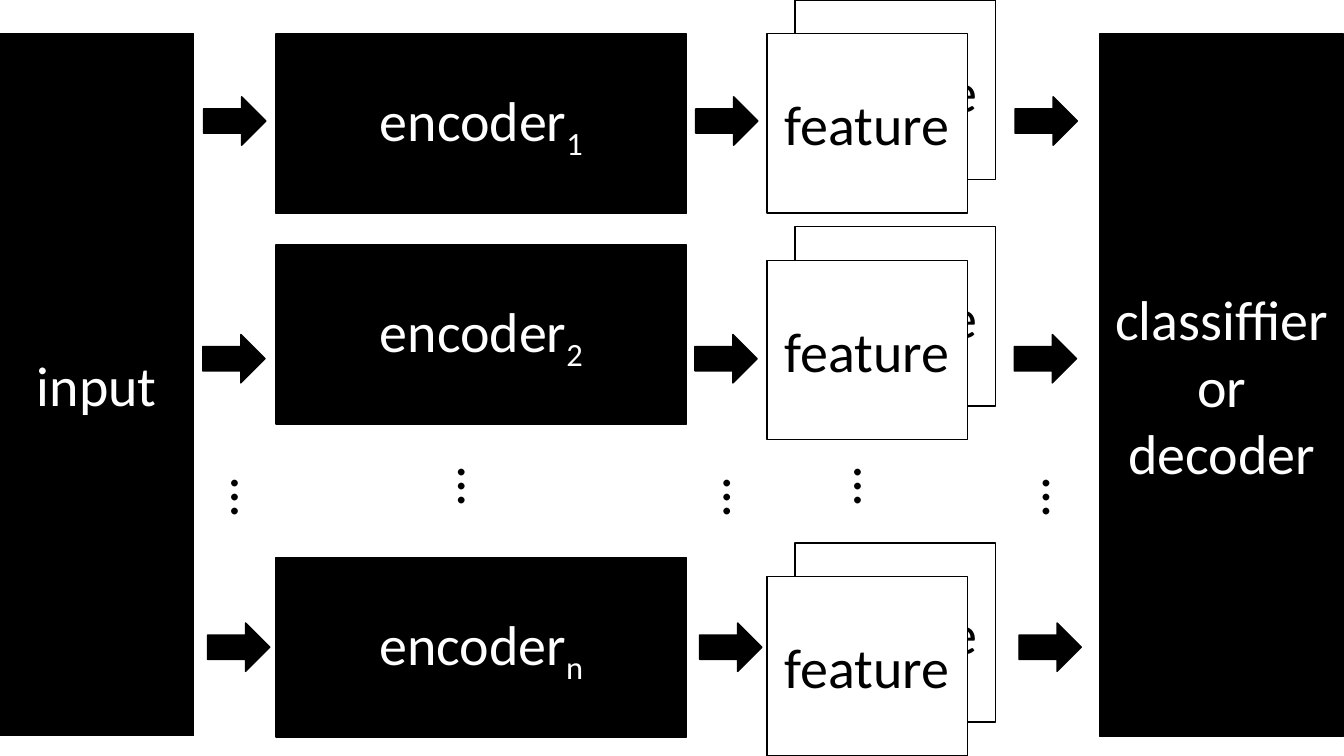
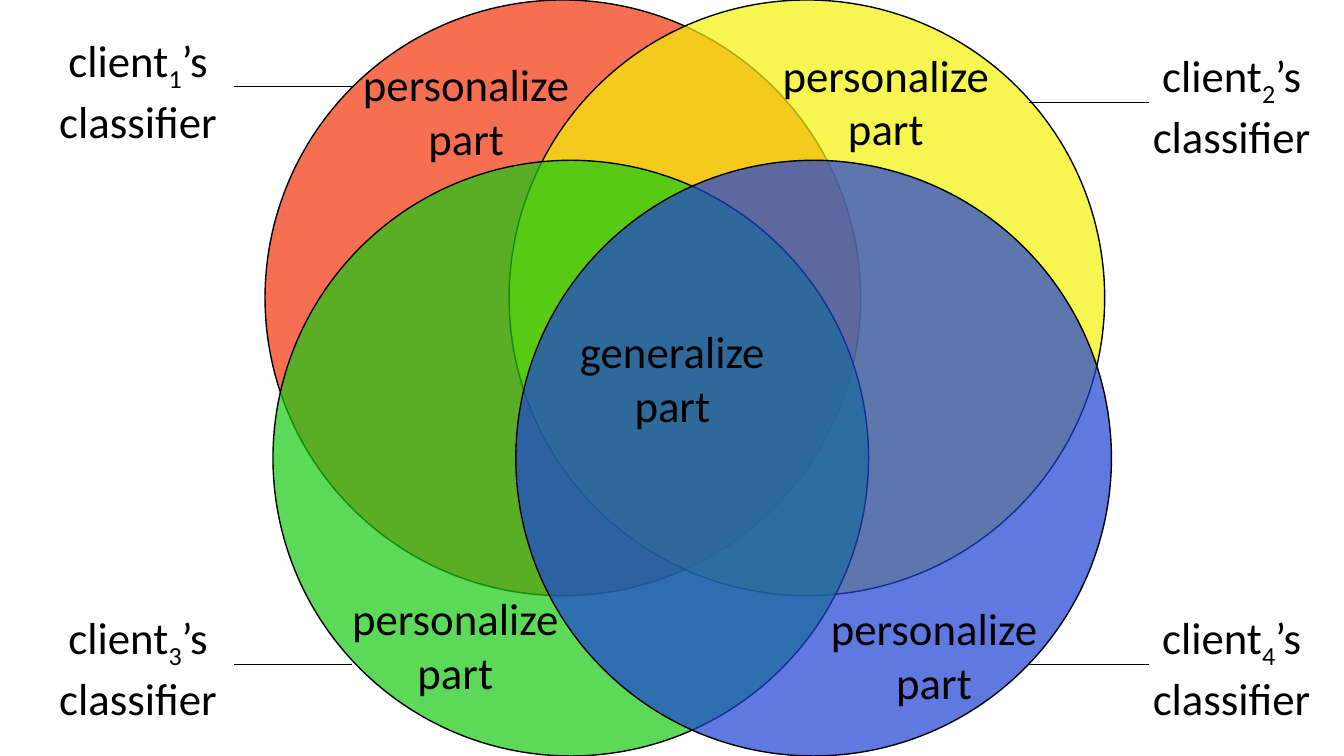
from lxml.etree import SubElement
from pptx import Presentation
from pptx.dml.color import RGBColor
from pptx.enum.shapes import MSO_CONNECTOR, MSO_SHAPE
from pptx.enum.text import MSO_ANCHOR, PP_ALIGN
from pptx.oxml.ns import qn
from pptx.util import Cm, Pt

COLORS = {
    "black": "000000", "white": "FFFFFF", "red": "F43308",
    "yellow": "F4F207", "green": "17C913", "blue": "1D41D5",
}
FONT = "Calibri"

# Pipeline slide, lengths in cm
INPUT = ("input", 0, 0.84, 4.88, 17.7)
CLASSIFIER = ("classiffier\nor\ndecoder", 27.71, 0.86, 6.15, 17.7)
# subscript, encoder top, feature top, arrow top, arrow shift
ROWS = [
    ("1", 0.86, 0, 2.44, 0),
    ("2", 6.17, 5.71, 8.43, -0.02),
    ("n", 14.05, 13.68, 15.7, 0.1),
]
ENCODER_LEFT, ENCODER_WIDTH, BLOCK_HEIGHT = 6.96, 10.34, 4.52
FEATURE_WIDTH = 5.05
FEATURE_STACK = [(20.04, 0), (19.33, 0.85)]  # left, drop from the row's top
ARROW_LEFTS, ARROW_SIZE = [5.13, 17.53, 25.58], (1.57, 1.22)
DOTS_SIZE = (2.29, 1.8)
BLOCK_DOTS_LEFTS, BLOCK_DOTS_TOP = [10.97, 20.96], 11.48
ARROW_DOTS_SHIFT, ARROW_DOTS_TOP = 0.13, 11.76

# Venn slide
DIAMETER = 15.01
LABEL_HEIGHT = 3
CIRCLES = [("red", 6.68, 0), ("yellow", 12.83, 0),
           ("green", 6.88, 4.04), ("blue", 13, 4.04)]
# subscript, label left, label top, line start, line end, line height
CLIENTS = [
    ("1", 1.09, 0.69, 8.86, 5.89, 2.18),
    ("2", 28.65, 1.07, 25.93, 28.96, 2.57),
    ("3", 1.09, 15.24, 8.86, 5.89, 16.74),
    ("4", 28.65, 15.24, 25.93, 28.96, 16.75),
]
CLIENT_WIDTH = 4.78
PARTS = [
    ("personalize part", 8.23, 1.3, 7.04),
    ("personalize part", 18.72, 1.07, 7.21),
    ("personalize part", 8.26, 14.76, 6.43),
    ("personalize part", 20.02, 15.01, 7.04),
    ("generalize\npart", 14.2, 8.03, 5.49),
]


def rgb(name):
    return RGBColor.from_string(COLORS[name])


def write(shape, text, size, color, anchor=MSO_ANCHOR.MIDDLE):
    """Fill a shape with centred text; a part between underscores is subscript."""
    frame = shape.text_frame
    frame.word_wrap = True
    frame.vertical_anchor = anchor
    for number, line in enumerate(text.split("\n")):
        para = frame.add_paragraph() if number else frame.paragraphs[0]
        para.alignment = PP_ALIGN.CENTER
        for position, part in enumerate(line.split("_")):
            span = para.add_run()
            span.text = part
            span.font.name = FONT
            span.font.size = Pt(size)
            span.font.color.rgb = rgb(color)
            if position % 2:
                span._r.get_or_add_rPr().set("baseline", "-25000")


def add_outlined(page, kind, left, top, width, height, fill):
    shape = page.shapes.add_shape(kind, Cm(left), Cm(top), Cm(width), Cm(height))
    shape.shadow.inherit = False
    shape.fill.solid()
    shape.fill.fore_color.rgb = rgb(fill)
    shape.line.color.rgb = rgb("black")
    shape.line.width = Pt(1)
    return shape


def add_block(page, text, left, top, width, height, fill="black", color="white"):
    block = add_outlined(page, MSO_SHAPE.RECTANGLE, left, top, width, height, fill)
    write(block, text, 40, color)


def add_text(page, text, left, top, width, height, size, anchor):
    box = page.shapes.add_textbox(Cm(left), Cm(top), Cm(width), Cm(height))
    write(box, text, size, "black", anchor)
    return box


def add_dots(page, left, top):
    box = add_text(page, "...", left, top, *DOTS_SIZE, 40, MSO_ANCHOR.MIDDLE)
    box.element.txBody.bodyPr.set("vert", "eaVert")


def add_label(page, text, left, top, width):
    add_text(page, text, left, top, width, LABEL_HEIGHT, 32, MSO_ANCHOR.TOP)


def add_circle(page, color, left, top):
    circle = add_outlined(page, MSO_SHAPE.OVAL, left, top, DIAMETER, DIAMETER, color)
    fill_color = circle.element.spPr.find(qn("a:solidFill"))[0]
    SubElement(fill_color, qn("a:alpha")).set("val", "70000")


def add_leader(page, start, end, height):
    leader = page.shapes.add_connector(
        MSO_CONNECTOR.STRAIGHT, Cm(start), Cm(height), Cm(end), Cm(height))
    leader.line.color.rgb = rgb("black")
    leader.line.width = Pt(0.5)
    SubElement(leader.element.spPr, qn("a:effectLst"))


def build_pipeline(page):
    add_block(page, *INPUT)
    add_block(page, *CLASSIFIER)
    for subscript, encoder_top, feature_top, arrow_top, shift in ROWS:
        add_block(page, f"encoder_{subscript}_", ENCODER_LEFT, encoder_top,
                  ENCODER_WIDTH, BLOCK_HEIGHT)
        for left, drop in FEATURE_STACK:
            add_block(page, "feature", left, feature_top + drop,
                      FEATURE_WIDTH, BLOCK_HEIGHT, "white", "black")
        for left in ARROW_LEFTS:
            add_outlined(page, MSO_SHAPE.RIGHT_ARROW, left + shift, arrow_top,
                         *ARROW_SIZE, "black")
    for left in BLOCK_DOTS_LEFTS:
        add_dots(page, left, BLOCK_DOTS_TOP)
    for left in ARROW_LEFTS:
        add_dots(page, left + ARROW_DOTS_SHIFT, ARROW_DOTS_TOP)


def build_venn(page):
    for circle in CIRCLES:
        add_circle(page, *circle)
    for part in PARTS:
        add_label(page, *part)
    for subscript, left, top, start, end, height in CLIENTS:
        add_leader(page, start, end, height)
        add_label(page, f"client_{subscript}_’s classifier", left, top, CLIENT_WIDTH)


def main():
    deck = Presentation()
    deck.slide_width, deck.slide_height = Cm(33.87), Cm(19.05)
    blank = deck.slide_layouts[6]
    for build in (build_pipeline, build_venn):
        build(deck.slides.add_slide(blank))
    deck.save("out.pptx")


if __name__ == "__main__":
    main()
